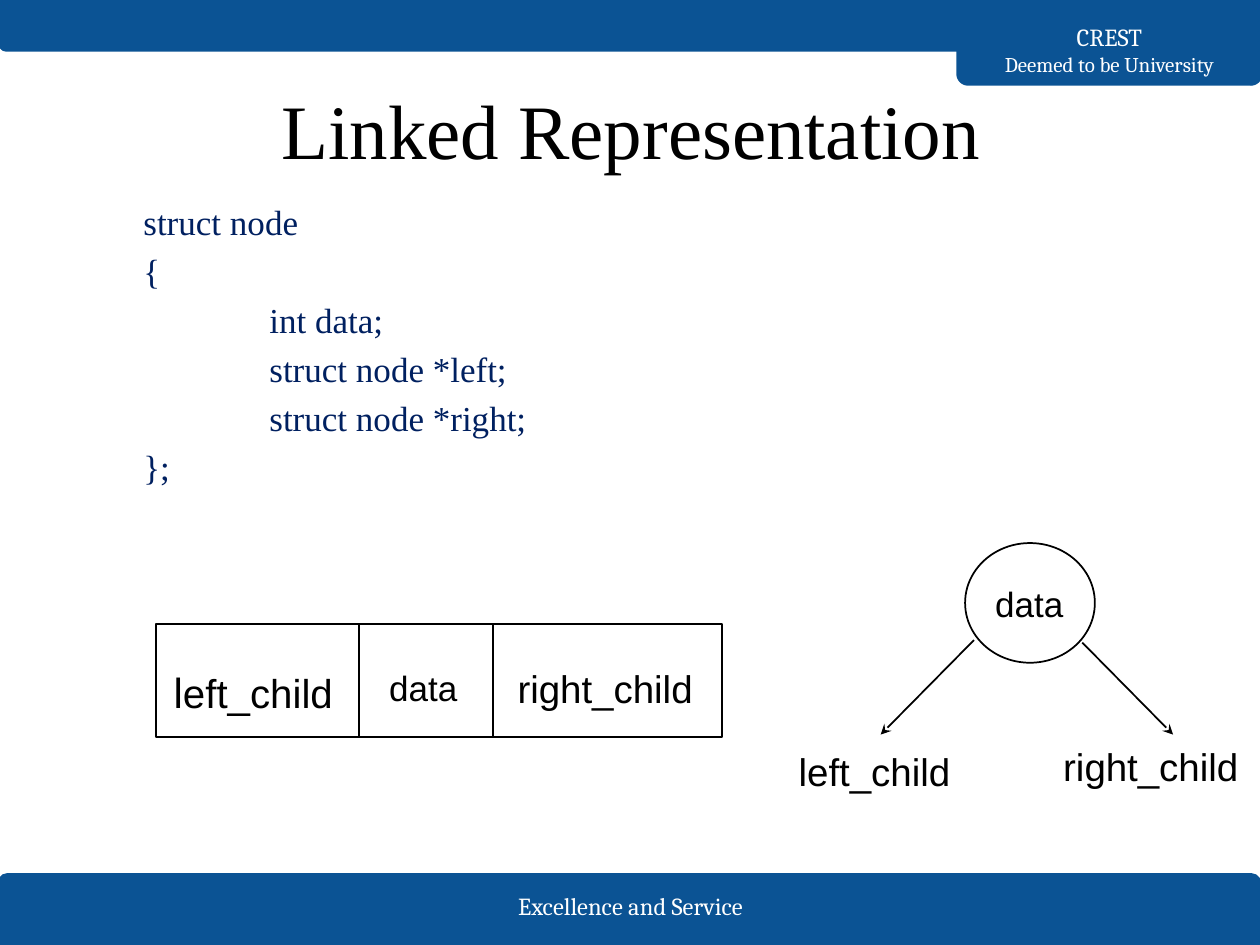
from pptx import Presentation
from pptx.util import Inches, Pt
from pptx.dml.color import RGBColor
from pptx.enum.shapes import MSO_SHAPE as Geo, MSO_CONNECTOR as Link
from pptx.enum.text import MSO_ANCHOR as Anchor, PP_ALIGN as Align
from pptx.oxml.ns import qn
from lxml.etree import SubElement as Sub

# Content: a line is (size, text) runs, with an optional indent
theme = dict(blue="0B5394", navy="002060", black="000000", white="FFFFFF",
             head="Times New Roman", band="Cambria", body="Arial",
             title=44, big=24, mid=23, child=22, code=20, foot=14, small=12)

bands = [  # left, top, width, height, turn
    (-0.01, 6.94, 10.01, 0.56, 0),
    (7.6, 0, 2.41, 0.67, 180),
    (0, 0, 10.01, 0.4, 180),
]
motto = "Excellence and Service"
school = [("foot", "CREST"), ("small", "Deemed to be University")]
title = "Linked Representation"
code = [  # depth, text
    (0, "struct node"),
    (0, "{"),
    (1, "int data;"),
    (1, "struct node *left;"),
    (1, "struct node *right;"),
    (0, "};"),
]
record = (1.24, 4.95, 4.49, 0.9)
splits = [2.85, 3.91]
circle = (7.66, 4.31, 1.03, 0.95)
arrows = [(7.73, 5.08, 6.99, 5.83), (8.59, 5.1, 9.31, 5.83)]
labels = [  # left, top, width, runs
    (2.99, 5.24, 0.76, [("code", "data")]),
    (1.28, 5.24, 1.48, [("big", "l"), ("mid", "eft_child")]),
    (4.01, 5.23, 1.66, [("child", "right_child")]),
    (7.8, 4.57, 0.76, [("code", "data")]),
    (6.24, 5.89, 1.48, [("child", "left_child")]),
    (8.34, 5.85, 1.66, [("child", "right_child")]),
]

deck = Presentation()
deck.slide_width, deck.slide_height = Inches(10), Inches(7.5)
slide = deck.slides.add_slide(deck.slide_layouts[6])
shapes = slide.shapes


def tint(name):
    return RGBColor.from_string(theme[name])


def write(box, lines, font="body", color="black", align=Align.LEFT,
          anchor=Anchor.TOP, pad=0.05, gap=0, depths=None):
    """Add a text box; each line is a list of (size, text) runs."""
    frame = shapes.add_textbox(*map(Inches, box)).text_frame
    frame.word_wrap = True
    frame.vertical_anchor = anchor
    frame.margin_left = frame.margin_right = Inches(0.1)
    frame.margin_top = frame.margin_bottom = Inches(pad)
    for i, runs in enumerate(lines):
        para = frame.add_paragraph() if i else frame.paragraphs[0]
        para.alignment = align
        para.space_before = Pt(gap if i else 0)
        if depths:
            para._p.get_or_add_pPr().set("marL", str(Inches(0.1 + depths[i])))
        for size, text in runs:
            run = para.add_run()
            run.text = text
            run.font.size = Pt(theme[size])
            run.font.name = theme[font]
            run.font.color.rgb = tint(color)


def draw(geo, box, fill=None, line="black", width=1):
    shape = shapes.add_shape(geo, *map(Inches, box))
    shape.shadow.inherit = False
    if fill:
        shape.fill.solid()
        shape.fill.fore_color.rgb = tint(fill)
    else:
        shape.fill.background()
    shape.line.color.rgb = tint(line)
    shape.line.width = Pt(width)
    return shape


def join(ends, tip=False):
    line = shapes.add_connector(Link.STRAIGHT, *map(Inches, ends))
    line.line.color.rgb = tint("black")
    line.line.width = Pt(1)
    if tip:
        Sub(line.line._get_or_add_ln(), qn("a:tailEnd"), type="stealth")
    Sub(line._element.spPr, qn("a:effectLst"))


# Header and footer bands
for *box, turn in bands:
    band = draw(Geo.ROUND_2_SAME_RECTANGLE, box, fill="blue", line="blue", width=1.5)
    band.adjustments[0], band.adjustments[1] = 0.125, 0
    band.rotation = turn
caption = dict(font="band", color="white", align=Align.CENTER,
               anchor=Anchor.MIDDLE, pad=0.1)
write((3.66, 7.03, 2.69, 0.32), [[("foot", motto)]], **caption)
write((7.6, 0.27, 2.41, 0.25), [[run] for run in school], **caption)

# Title and struct code
write((0, 0.4, 10.02, 1.25), [[("title", title)]], font="head",
      align=Align.CENTER, anchor=Anchor.MIDDLE)
write((0.94, 1.54, 3.83, 2.61), [[("code", text)] for _, text in code],
      font="head", color="navy", gap=4, depths=[depth for depth, _ in code])

# Node record with its cell dividers
draw(Geo.RECTANGLE, record)
for x in splits:
    join((x, record[1], x, record[1] + record[3]))

# Tree node with its two links
draw(Geo.OVAL, circle)
for ends in arrows:
    join(ends, tip=True)

# Field and child labels
for left, top, width, runs in labels:
    write((left, top, width, 0.5), [runs])

deck.save("out.pptx")
